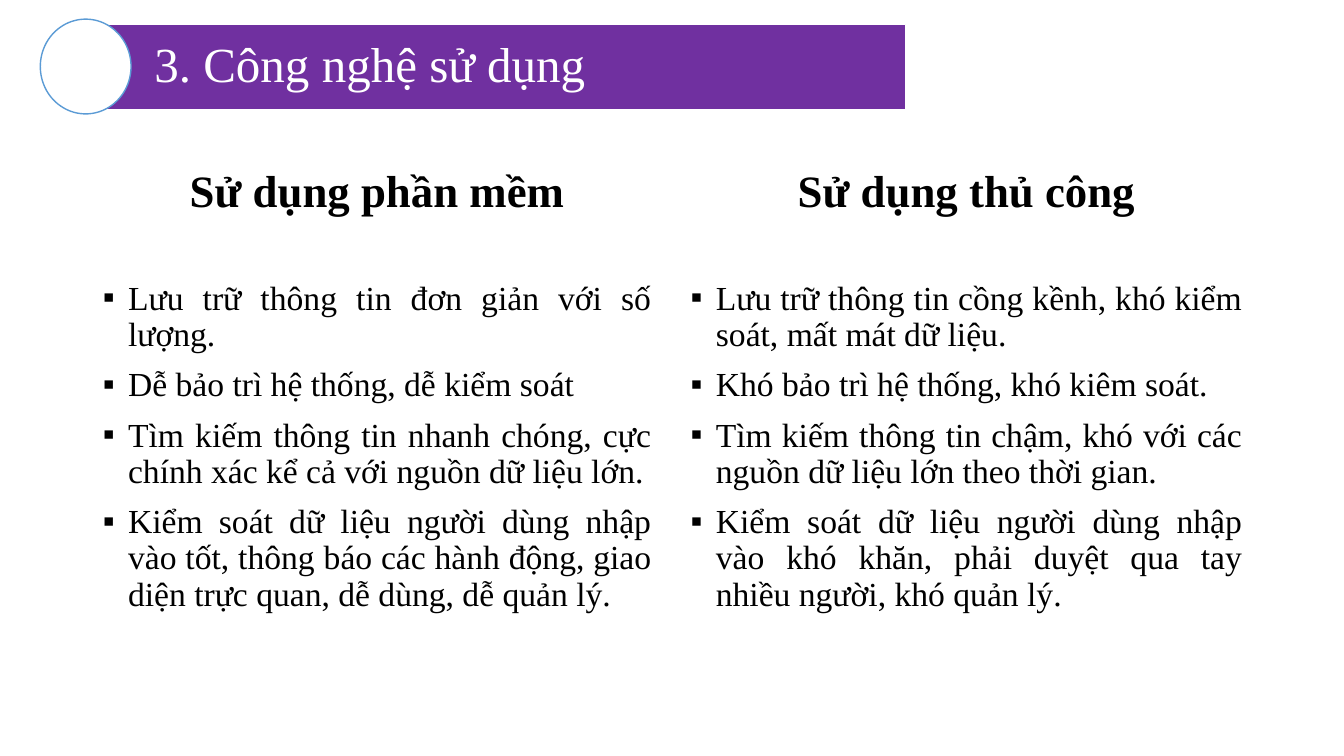
import pptx
import pptx.util
import pptx.dml.color
import pptx.enum.shapes
import pptx.enum.text
import pptx.oxml.ns
import lxml.etree

Inches, Pt = pptx.util.Inches, pptx.util.Pt
RGB = pptx.dml.color.RGBColor
ALIGN = pptx.enum.text.PP_ALIGN
ANCHOR = pptx.enum.text.MSO_ANCHOR

FONT = "Times New Roman"
PURPLE = RGB(0x70, 0x30, 0xA0)
WHITE = RGB(0xFF, 0xFF, 0xFF)
BLACK = RGB(0x00, 0x00, 0x00)
BLUE = RGB(0x5B, 0x9B, 0xD5)


def write(box, lines, size, color=BLACK, bold=False, align=ALIGN.LEFT,
          anchor=ANCHOR.TOP, before=10, bullet=None):
    """Fill a placeholder with one formatted paragraph per line."""
    frame = box.text_frame
    frame.text = "\n".join(lines)
    frame.word_wrap = True
    frame.auto_size = pptx.enum.text.MSO_AUTO_SIZE.NONE
    frame.vertical_anchor = anchor
    for para in frame.paragraphs:
        para.alignment = align
        para.line_spacing = 0.9
        para.space_before = Pt(before)
        font = para.runs[0].font
        font.name, font.size, font.bold = FONT, Pt(size), bold
        font.color.rgb = color
        if bullet:
            props = para._p.get_or_add_pPr()
            props.set("marL", str(Inches(0.25)))
            props.set("indent", str(Inches(-0.25)))
            mark = lxml.etree.SubElement(props, pptx.oxml.ns.qn("a:buChar"))
            mark.set("char", bullet)


def place(box, left, top, width, height):
    """Move and size a shape, in inches."""
    box.left, box.top = Inches(left), Inches(top)
    box.width, box.height = Inches(width), Inches(height)


deck = pptx.Presentation()
deck.slide_width, deck.slide_height = Inches(13.33), Inches(7.5)
slide = deck.slides.add_slide(deck.slide_layouts.get_by_name("Comparison"))
holders = slide.placeholders

# Title banner with its round badge
title = slide.shapes.title
place(title, 0.94, 0.24, 8.04, 0.85)
title.fill.solid()
title.fill.fore_color.rgb = PURPLE
title.line.color.rgb = WHITE
title.line.width = Pt(1)
title.text_frame.margin_left = Inches(0.59)
write(title, ["3. Công nghệ sử dụng"], 35, color=WHITE,
      anchor=ANCHOR.MIDDLE, before=0)

badge = slide.shapes.add_shape(
    pptx.enum.shapes.MSO_SHAPE.OVAL,
    Inches(0.4), Inches(0.19), Inches(0.9), Inches(0.94))
badge.shadow.inherit = False
badge.fill.solid()
badge.fill.fore_color.rgb = WHITE
badge.line.color.rgb = BLUE
badge.line.width = Pt(1)

# Two columns: heading and list, with their placeholder numbers
columns = [
    (1, 2, 0.92, 5.64, "Sử dụng phần mềm", [
        "Lưu trữ thông tin đơn giản với số lượng.",
        "Dễ bảo trì hệ thống, dễ kiểm soát",
        "Tìm kiếm thông tin nhanh chóng, cực chính xác kể cả với "
        "nguồn dữ liệu lớn.",
        "Kiểm soát dữ liệu người dùng nhập vào tốt, thông báo các "
        "hành động, giao diện trực quan, dễ dùng, dễ quản lý."]),
    (3, 4, 6.75, 5.67, "Sử dụng thủ công", [
        "Lưu trữ thông tin cồng kềnh, khó kiểm soát, mất mát dữ liệu.",
        "Khó bảo trì hệ thống, khó kiêm soát.",
        "Tìm kiếm thông tin chậm, khó với các nguồn dữ liệu lớn "
        "theo thời gian.",
        "Kiểm soát dữ liệu người dùng nhập vào khó khăn, phải duyệt "
        "qua tay nhiều người, khó quản lý."]),
]
for head, body, left, width, label, points in columns:
    place(holders[head], left, 1.63, width, 0.58)
    write(holders[head], [label], 32, bold=True, align=ALIGN.CENTER,
          anchor=ANCHOR.BOTTOM)
    place(holders[body], left, 2.74, width, 4.03)
    write(holders[body], points, 24, align=ALIGN.JUSTIFY, bullet="▪")

# The layout's date, footer and number stay off the slide
deck.save("out.pptx")
